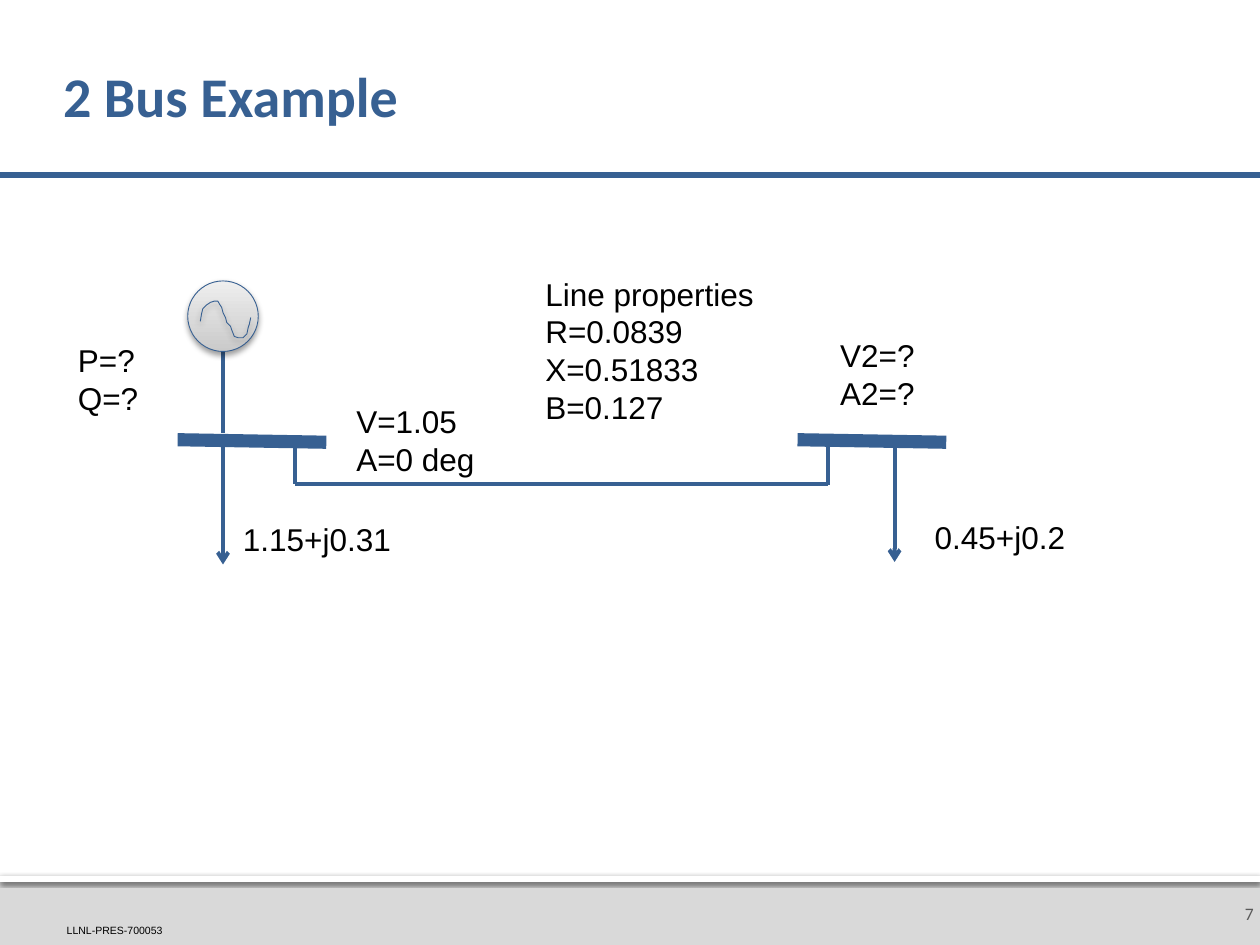
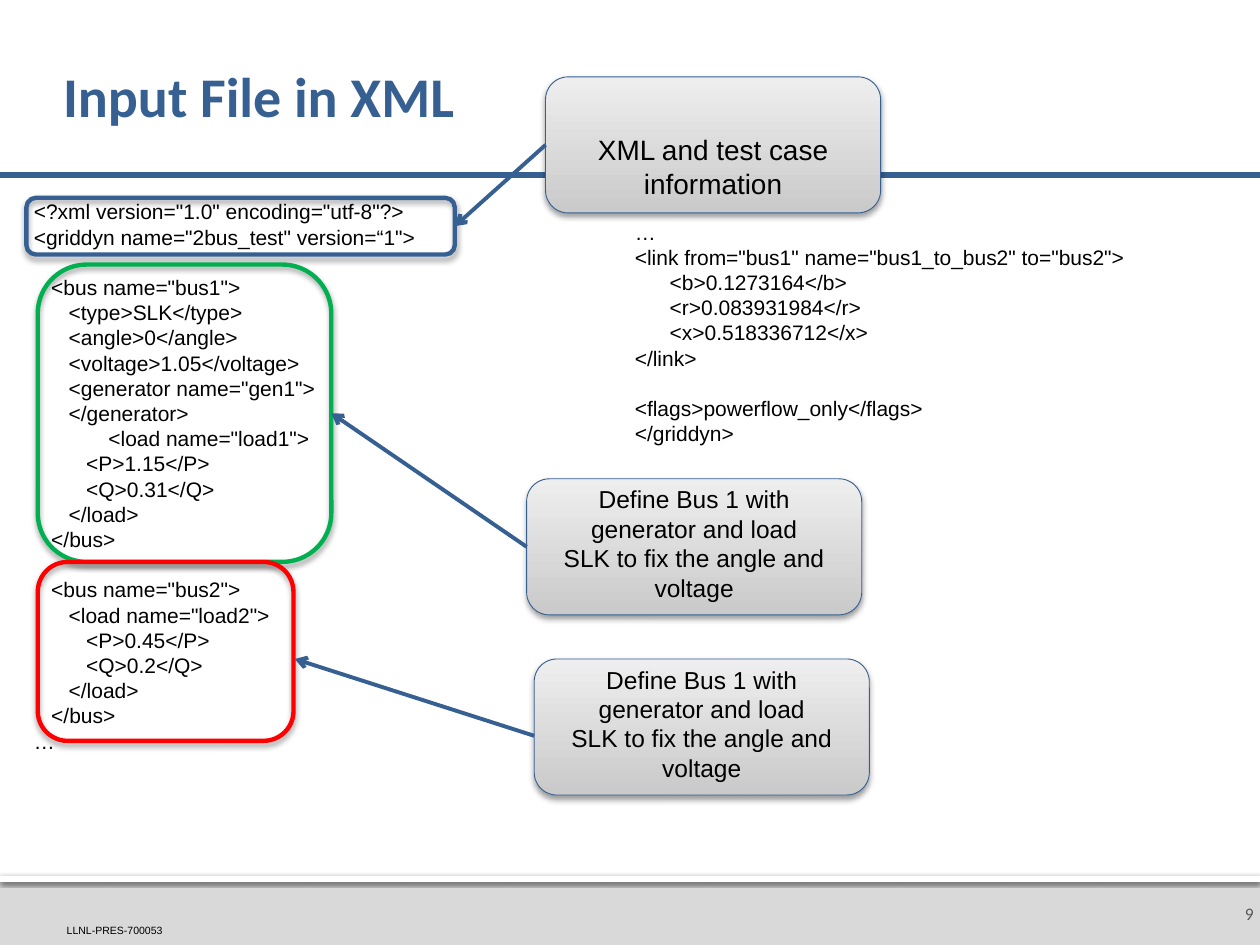
from dataclasses import dataclass

from lxml import etree
from pptx import Presentation
from pptx.dml.color import RGBColor
from pptx.enum.shapes import MSO_CONNECTOR, MSO_SHAPE
from pptx.enum.text import MSO_ANCHOR, PP_ALIGN
from pptx.oxml.ns import qn
from pptx.util import Inches, Pt

RECT, ELLIPSE, ROUND = MSO_SHAPE.RECTANGLE, MSO_SHAPE.OVAL, MSO_SHAPE.ROUNDED_RECTANGLE
STRAIGHT = MSO_CONNECTOR.STRAIGHT
LEFT, CENTER, RIGHT = PP_ALIGN.LEFT, PP_ALIGN.CENTER, PP_ALIGN.RIGHT
TOP, MIDDLE, BOTTOM = MSO_ANCHOR.TOP, MSO_ANCHOR.MIDDLE, MSO_ANCHOR.BOTTOM
LEFT_SIDE, RIGHT_SIDE = 1, 3

BLUE = RGBColor(0x37, 0x60, 0x92)
GREEN = RGBColor(0x00, 0xB0, 0x50)
RED = RGBColor(0xFF, 0x00, 0x00)
BLACK = RGBColor(0x00, 0x00, 0x00)
WHITE = RGBColor(0xFF, 0xFF, 0xFF)
BAND_GREY = RGBColor(0xD9, 0xD9, 0xD9)
NUMBER_GREY = RGBColor(0x59, 0x59, 0x59)
GRADIENT = (RGBColor(0xCA, 0xCA, 0xCA), RGBColor(0xEE, 0xEE, 0xEE))

BODY_FONT, HEAD_FONT = "Arial", "Calibri"
CODE_SIZE = 12
CODE_LINE = Pt(14.4)
BOX_W, BOX_H = 2.66, 1.08


@dataclass
class Area:
    x: float
    y: float
    w: float
    h: float

    def emu(self) -> tuple:
        return tuple(Inches(v) for v in (self.x, self.y, self.w, self.h))


@dataclass
class Style:
    size: float
    font: str = BODY_FONT
    color: RGBColor = BLACK
    bold: bool = False
    align: PP_ALIGN = LEFT


@dataclass
class Label:
    area: Area
    text: str


@dataclass
class Wire:
    x1: float
    y1: float
    x2: float
    y2: float
    width: float = 2.25
    arrow: bool = False


@dataclass
class Callout:
    """A note box and the outlined piece of code it explains."""
    x: float
    y: float
    text: str
    size: float
    code: Area
    color: RGBColor
    arrow: Wire | None = None  # None: side to side


BUS_TILT = 0.02
WIRES = [
    *(Wire(x, 3.49, x + 1.18, 3.49 + BUS_TILT, 7.5) for x in (1.41, 6.33)),
    Wire(2.34, 3.53, 2.34, 3.84),
    Wire(6.57, 3.54, 6.57, 3.85),
    Wire(2.34, 3.84, 6.57, 3.84),
    Wire(7.1, 3.52, 7.1, 4.46, arrow=True),
    Wire(1.77, 3.54, 1.77, 4.48, arrow=True),
    Wire(1.77, 2.79, 1.77, 3.44),
]
LABELS = [
    Label(Area(7.32, 4.06, 1.25, 0.4), "0.45+j0.2"),
    Label(Area(1.83, 4.08, 1.39, 0.4), "1.15+j0.31"),
    Label(Area(2.73, 3.14, 1.15, 0.71), "V=1.05\nA=0 deg"),
    Label(Area(4.23, 2.13, 1.87, 1.31),
          "Line properties\nR=0.0839\nX=0.51833\nB=0.127"),
    Label(Area(0.52, 2.66, 0.69, 0.71), "P=?\nQ=?"),
    Label(Area(6.57, 2.62, 0.8, 0.71), "V2=?\nA2=?"),
]
# Hundredths of an inch
SINE = [(159, 255), (160, 249), (161, 245), (163, 243), (164, 242), (167, 240),
        (170, 239), (173, 239), (174, 241), (176, 244), (177, 248), (178, 250),
        (179, 252), (180, 256), (181, 257), (183, 259), (184, 262), (186, 267),
        (189, 268), (193, 268), (196, 265), (197, 260), (198, 257), (199, 252)]

BUS_CODE = """<?xml version="1.0" encoding="utf-8"?>
<griddyn name="2bus_test" version=“1">

   <bus name="bus1">
      <type>SLK</type>
      <angle>0</angle>
      <voltage>1.05</voltage>
      <generator name="gen1">
      </generator>
\t  <load name="load1">
         <P>1.15</P>
         <Q>0.31</Q>
      </load>
   </bus>

   <bus name="bus2">
      <load name="load2">
         <P>0.45</P>
         <Q>0.2</Q>
      </load>
   </bus>
…"""
LINK_CODE = """…
<link from="bus1" name="bus1_to_bus2" to="bus2">
      <b>0.1273164</b>
      <r>0.083931984</r>
      <x>0.518336712</x>
</link>

<flags>powerflow_only</flags>
</griddyn>"""
BUS_NOTE = "Define Bus 1 with generator and load\nSLK to fix the angle and voltage"
CALLOUTS = [
    Callout(4.33, 0.61, "XML and test case information", 16,
            Area(0.21, 1.57, 3.4, 0.45), BLUE),
    Callout(4.18, 3.8, BUS_NOTE, 14, Area(0.3, 2.1, 2.33, 2.36), GREEN),
    Callout(4.24, 5.23, BUS_NOTE, 14, Area(0.3, 4.46, 2.03, 1.42), RED,
            Wire(4.24, 5.84, 2.34, 5.23, arrow=True)),
]


def write(tf, text: str, style: Style) -> None:
    """Fill a text frame; an empty line becomes space before the next one."""
    p, gap = None, False
    for line in text.split("\n"):
        if not line:
            gap = True
            continue
        p = tf.add_paragraph() if p is not None else tf.paragraphs[0]
        p.text = line
        p.alignment = style.align
        if gap:
            p.space_before, gap = CODE_LINE, False
        for r in p.runs:
            r.font.name, r.font.size, r.font.bold = style.font, Pt(style.size), style.bold
            r.font.color.rgb = style.color


def set_insets(tf, left: float, top: float, right: float, bottom: float) -> None:
    tf.margin_left, tf.margin_top = Inches(left), Inches(top)
    tf.margin_right, tf.margin_bottom = Inches(right), Inches(bottom)


def add_text(slide, area: Area, text: str, style: Style,
             anchor: MSO_ANCHOR = TOP, wrap: bool = True):
    tf = slide.shapes.add_textbox(*area.emu()).text_frame
    tf.word_wrap = wrap
    tf.vertical_anchor = anchor
    write(tf, text, style)
    return tf


def add_shadow(sp, alpha: int = 38, blur: float = 3.5, dist: float = 2) -> None:
    sp.shadow.inherit = False
    effects = sp._element.spPr.find(qn("a:effectLst"))
    shadow = etree.SubElement(effects, qn("a:outerShdw"), blurRad=str(Pt(blur)),
                              dist=str(Pt(dist)), dir="5400000", rotWithShape="0")
    color = etree.SubElement(shadow, qn("a:srgbClr"), val=str(BLACK))
    etree.SubElement(color, qn("a:alpha"), val=str(alpha * 1000))


def add_band(slide, area: Area, color: RGBColor):
    sp = slide.shapes.add_shape(RECT, *area.emu())
    sp.shadow.inherit = False
    sp.fill.solid()
    sp.fill.fore_color.rgb = color
    sp.line.fill.background()
    return sp


def set_outline(sp, color: RGBColor, width: float) -> None:
    sp.line.color.rgb = color
    sp.line.width = Pt(width)


def add_grey_shape(slide, kind: MSO_SHAPE, area: Area):
    sp = slide.shapes.add_shape(kind, *area.emu())
    sp.fill.gradient()
    sp.fill.gradient_angle = 90
    for stop, color in zip(sp.fill.gradient_stops, GRADIENT):
        stop.color.rgb = color
    set_outline(sp, BLUE, 0.5)
    add_shadow(sp)
    return sp


def add_wire(slide, wire: Wire):
    c = slide.shapes.add_connector(
        STRAIGHT, *(Inches(v) for v in (wire.x1, wire.y1, wire.x2, wire.y2)))
    set_outline(c, BLUE, wire.width)
    props = c._element.spPr
    if wire.arrow:
        etree.SubElement(props.find(qn("a:ln")), qn("a:tailEnd"), type="arrow")
    etree.SubElement(props, qn("a:effectLst"))
    return c


def add_slide(prs, title: str, number: int):
    """Add a slide with the shared title, rule, bottom band and footers."""
    slide = prs.slides.add_slide(prs.slide_layouts[5])
    add_band(slide, Area(0, 6.95, 10, 0.55), BAND_GREY)
    add_shadow(add_band(slide, Area(0, 6.95, 10, 0.05), WHITE), 60, 2.5, 0.8)
    tf = add_text(slide, Area(0.53, 7.33, 0.96, 0.1), "LLNL-PRES-700053", Style(6), BOTTOM)
    set_insets(tf, 0, 0, 0, 0)
    tf = add_text(slide, Area(9.65, 7, 0.35, 0.5), str(number),
                  Style(10, HEAD_FONT, NUMBER_GREY, align=RIGHT), MIDDLE)
    set_insets(tf, 0.1, 0.05, 0.05, 0.05)
    add_wire(slide, Wire(-0.01, 1.39, 10, 1.39, 3))

    sp = slide.shapes.title
    sp.left, sp.top, sp.width, sp.height = Area(0.5, 0.24, 9, 1.1).emu()
    tf = sp.text_frame
    tf.vertical_anchor = MIDDLE
    set_insets(tf, 0, 0.05, 0.05, 0.05)
    write(tf, title, Style(32, HEAD_FONT, BLUE, bold=True))
    tf.paragraphs[0].line_spacing = 0.9
    return slide


def add_generator(slide) -> None:
    add_grey_shape(slide, ELLIPSE, Area(1.49, 2.23, 0.56, 0.56))
    builder = slide.shapes.build_freeform(*SINE[0], scale=Inches(0.01))
    builder.add_line_segments(SINE[1:], close=False)
    sp = builder.convert_to_shape()
    sp.fill.background()
    set_outline(sp, BLUE, 0.5)
    add_shadow(sp)


def add_callout(slide, note: Callout) -> None:
    outline = slide.shapes.add_shape(ROUND, *note.code.emu())
    outline.fill.background()
    set_outline(outline, note.color, 2.5)
    add_shadow(outline)

    box = add_grey_shape(slide, ROUND, Area(note.x, note.y, BOX_W, BOX_H))
    tf = box.text_frame
    tf.word_wrap = True
    tf.vertical_anchor = BOTTOM
    write(tf, note.text, Style(note.size, align=CENTER))

    if note.arrow:
        add_wire(slide, note.arrow)
    else:
        c = add_wire(slide, Wire(note.x, note.y, note.code.x, note.code.y, arrow=True))
        c.begin_connect(box, LEFT_SIDE)
        c.end_connect(outline, RIGHT_SIDE)


def build_bus_slide(prs) -> None:
    slide = add_slide(prs, "2 Bus Example", 7)
    for wire in WIRES:
        add_wire(slide, wire)
    add_generator(slide)
    for label in LABELS:
        add_text(slide, label.area, label.text, Style(18), wrap=False)


def build_xml_slide(prs) -> None:
    slide = add_slide(prs, "Input File in XML", 9)
    add_text(slide, Area(0.17, 1.53, 4.6, 4.54), BUS_CODE, Style(CODE_SIZE))
    add_text(slide, Area(4.94, 1.69, 4.6, 1.92), LINK_CODE, Style(CODE_SIZE))
    for note in CALLOUTS:
        add_callout(slide, note)


def main() -> None:
    prs = Presentation()
    prs.slide_width, prs.slide_height = Inches(10), Inches(7.5)
    build_bus_slide(prs)
    build_xml_slide(prs)
    prs.save("out.pptx")


if __name__ == "__main__":
    main()
